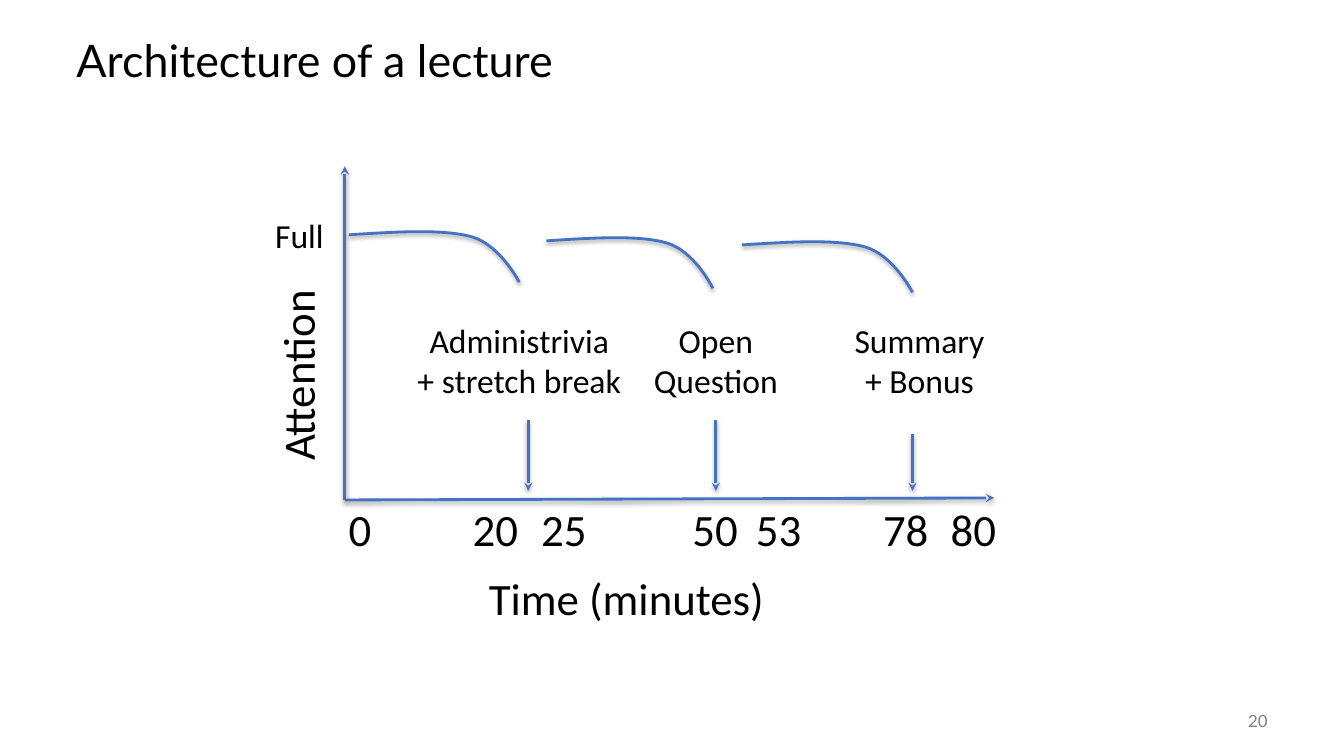
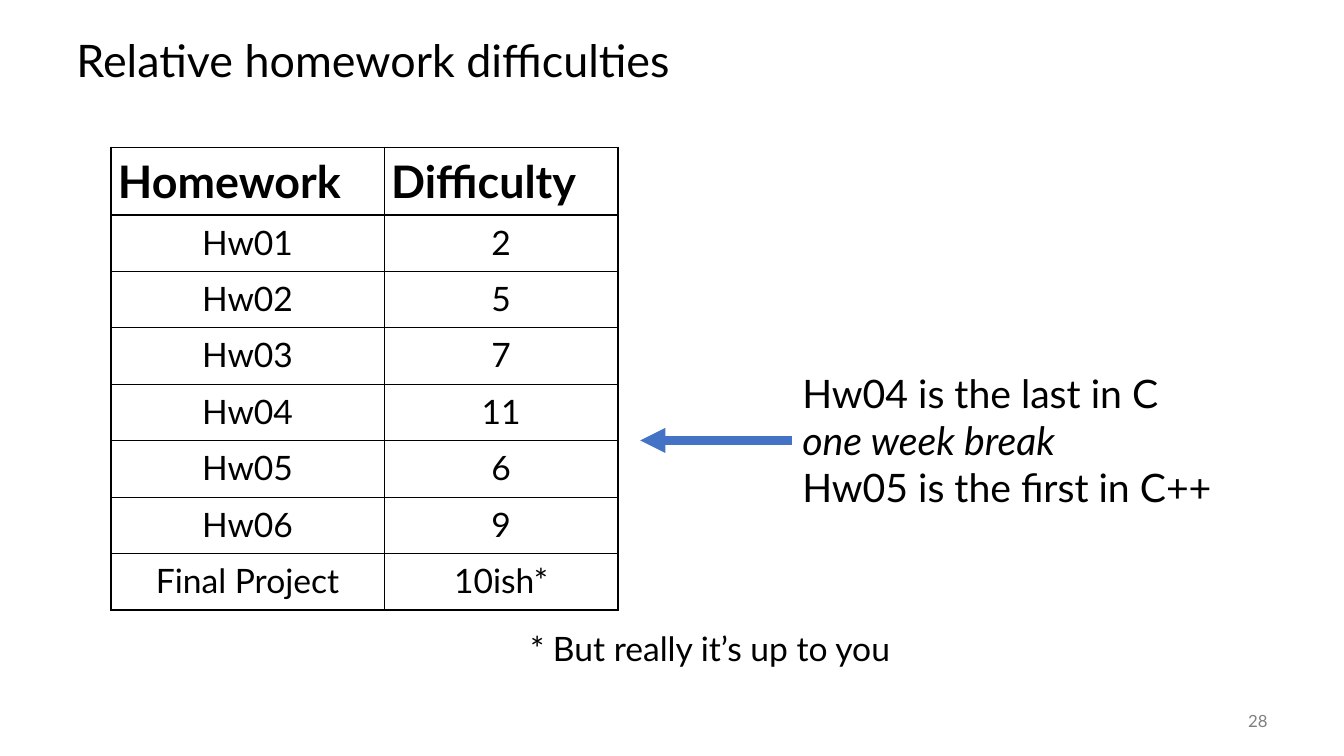
"""Build two lecture slides: an attention chart and a homework table."""
from dataclasses import dataclass

import pptx
import pptx.dml.color
import pptx.enum.shapes
import pptx.enum.text
import pptx.oxml
import pptx.oxml.ns
import pptx.util

PX = 9144
ALIGN = pptx.enum.text.PP_ALIGN
ANCHOR = pptx.enum.text.MSO_ANCHOR
NS = pptx.oxml.ns.nsdecls("a")


@dataclass(frozen=True)
class Theme:
    """Colours, fonts, type sizes and line widths of the slides."""
    black: str = "000000"
    grey: str = "808080"
    accent: str = "4472C4"
    head_font: str = "Lato"
    chart_font: str = "Calibri"
    title: int = 32
    note: int = 28
    body: int = 24
    number: int = 12
    thin: int = 2
    thick: int = 6


THEME = Theme()


def px(*lengths):
    """Turn px lengths into EMU."""
    return [pptx.util.Emu(n * PX) for n in lengths]


def rgb(value):
    """Make a colour from its hex value."""
    return pptx.dml.color.RGBColor.from_string(value)


def style(p, size, font, color=THEME.black, align=ALIGN.LEFT, bold=False):
    """Set the font and alignment of a paragraph."""
    p.alignment = align
    p.font.size = pptx.util.Pt(size)
    p.font.name = font
    p.font.bold = bold
    p.font.color.rgb = rgb(color)


def add_text(shapes, box, lines, size, font=THEME.chart_font, color=THEME.black,
             align=ALIGN.LEFT, anchor=ANCHOR.TOP, spacing=None):
    """Add a text box with one paragraph per line."""
    sp = shapes.add_textbox(*px(*box))
    tf = sp.text_frame
    tf.word_wrap = True
    tf.vertical_anchor = anchor
    for i, line in enumerate(lines):
        p = tf.add_paragraph() if i else tf.paragraphs[0]
        p.text = line
        p.line_spacing = spacing
        style(p, size, font, color, align)
    return sp


def style_line(sp, width, head=None, shadow=True):
    """Set the stroke, arrowhead and shadow of a line."""
    sp.line.color.rgb = rgb(THEME.accent)
    sp.line.width = pptx.util.Pt(width)
    sp_pr = sp.element.spPr
    if head:
        sp_pr.find(pptx.oxml.ns.qn("a:ln")).append(
            pptx.oxml.parse_xml(f'<a:tailEnd {NS} type="{head}"/>'))
    outer = ('<a:outerShdw blurRad="40000" dist="20000" dir="5400000" rotWithShape="0">'
             f'<a:srgbClr val="{THEME.black}"><a:alpha val="37000"/></a:srgbClr>'
             '</a:outerShdw>') if shadow else ""
    sp_pr.append(pptx.oxml.parse_xml(f"<a:effectLst {NS}>{outer}</a:effectLst>"))


def add_arrow(shapes, start, end, width=THEME.thin, head="stealth", shadow=True):
    """Add a straight arrow between two points."""
    cx = shapes.add_connector(pptx.enum.shapes.MSO_CONNECTOR.STRAIGHT, *px(*start, *end))
    style_line(cx, width, head, shadow)
    return cx


def add_attention_curve(shapes, left, top, width):
    """Add a curve that stays level and then drops."""
    outline = [(0, 6), (28, 3), (55, 0), (72, 8), (89, 16), (100, 53), (100, 53)]
    points = [px(left + round(x * width / 100), top + y) for x, y in outline]
    builder = shapes.build_freeform(*points[0])
    builder.add_line_segments(points[1:], close=False)
    sp = builder.convert_to_shape()
    segments = list(sp.element.iter(pptx.oxml.ns.qn("a:lnTo")))
    for i in range(0, len(segments), 3):
        curve = pptx.oxml.parse_xml(f"<a:cubicBezTo {NS}/>")
        segments[i].addprevious(curve)
        for segment in segments[i:i + 3]:
            curve.append(segment[0])
            segment.getparent().remove(segment)
    sp.fill.background()
    style_line(sp, THEME.thin)


def add_event(shapes, left, width, lines, arrow_x, arrow_top):
    """Add a grouped label with an arrow down to the time axis."""
    group = shapes.add_group_shape().shapes
    add_text(group, (left, 312, width, 91), lines, THEME.body, align=ALIGN.CENTER)
    add_arrow(group, (arrow_x, arrow_top), (arrow_x, 487))


def add_border(cell):
    """Draw a thin border on all sides of a cell."""
    tc_pr = cell._tc.get_or_add_tcPr()
    for i, side in enumerate(("lnL", "lnR", "lnT", "lnB")):
        tc_pr.insert(i, pptx.oxml.parse_xml(
            f'<a:{side} {NS} w="12700"><a:solidFill><a:srgbClr val="{THEME.black}"/>'
            f'</a:solidFill></a:{side}>'))


def add_table(shapes, left, top, widths, heights, rows):
    """Add a bordered table with a bold header row."""
    box = px(left, top, sum(widths), sum(heights))
    table = shapes.add_table(len(rows), len(widths), *box).table
    table.first_row = table.horz_banding = False
    for column, width in zip(table.columns, px(*widths)):
        column.width = width
    for i, (row, height) in enumerate(zip(table.rows, px(*heights))):
        row.height = height
        for cell, text in zip(row.cells, rows[i]):
            cell.margin_left, cell.margin_right, cell.margin_top, cell.margin_bottom = px(7, 7, 7, 7)
            cell.fill.background()
            add_border(cell)
            p = cell.text_frame.paragraphs[0]
            p.text = text
            header = i == 0
            style(p, THEME.title if header else THEME.body, THEME.head_font,
                  align=ALIGN.LEFT if header else ALIGN.CENTER, bold=header)


def add_slide(prs, title, number):
    """Add a slide with its title and number and return its shapes."""
    shapes = prs.slides.add_slide(prs.slide_layouts[6]).shapes
    add_text(shapes, (66, 25, 1200, 75), [title], THEME.title, THEME.head_font,
             anchor=ANCHOR.MIDDLE, spacing=0.9)
    add_text(shapes, (1167, 695, 100, 40), [number], THEME.number, THEME.head_font,
             THEME.grey, ALIGN.RIGHT, ANCHOR.MIDDLE)
    return shapes


def build_lecture(prs):
    """Build the slide on attention during a lecture."""
    shapes = add_slide(prs, "Architecture of a lecture", "20")
    add_text(shapes, (196, 336, 198, 64), ["Attention"], THEME.title).rotation = 270
    add_text(shapes, (475, 561, 296, 64), ["Time (minutes)"], THEME.title)
    add_text(shapes, (263, 208, 69, 50), ["Full"], THEME.body)
    origin = (342, 496)
    for end in ((342, 165), (986, 494)):
        add_arrow(shapes, origin, end)
    ticks = {"0": 336, "20": 459, "25": 527, "50": 677, "53": 740, "78": 866, "80": 933}
    for label, left in ticks.items():
        add_text(shapes, (left, 493, 20 + 23 * len(label), 64), [label], THEME.title)
    for curve in ((346, 227, 169), (542, 233, 165), (736, 237, 169)):
        add_attention_curve(shapes, *curve)
    events = (
        (403, 224, ["Administrivia", "+ stretch break"], 524, 417),
        (837, 150, ["Summary", "+ Bonus"], 905, 431),
        (627, 166, ["Open\nQuestion"], 710, 417),
    )
    for event in events:
        add_event(shapes, *event)


def build_homework(prs):
    """Build the slide on homework difficulty."""
    shapes = add_slide(prs, "Relative homework difficulties", "28")
    rows = [("Homework", "Difficulty"), ("Hw01", "2"), ("Hw02", "5"), ("Hw03", "7"),
            ("Hw04", "11"), ("Hw05", "6"), ("Hw06", "9"), ("Final Project", "10ish*")]
    add_table(shapes, 110, 146, (271, 232), [67] + [56] * (len(rows) - 1), rows)
    add_text(shapes, (516, 623, 496, 54), ["* But really it’s up to you"], THEME.body,
             THEME.head_font, spacing=0.9)
    note = add_text(shapes, (786, 361, 437, 152),
                    ["Hw04 is the last in C", "one week break", "Hw05 is the first in C++"],
                    THEME.note, THEME.head_font)
    note.text_frame.paragraphs[1].font.italic = True
    arrow = add_arrow(shapes, (786, 437), (635, 437), THEME.thick, "triangle", shadow=False)
    arrow.begin_connect(note, 1)


def main():
    """Build and save the presentation."""
    prs = pptx.Presentation()
    prs.slide_width, prs.slide_height = px(1333, 750)
    build_lecture(prs)
    build_homework(prs)
    prs.save("out.pptx")


if __name__ == "__main__":
    main()
